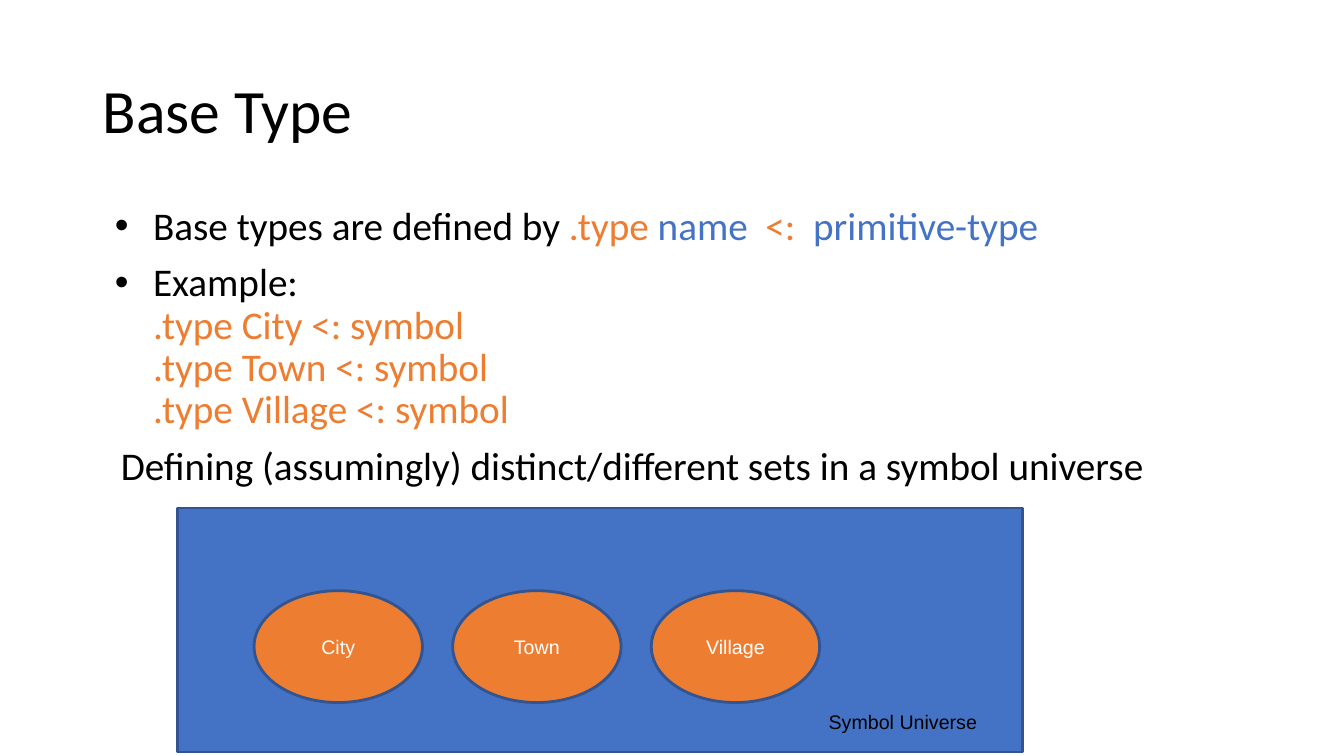
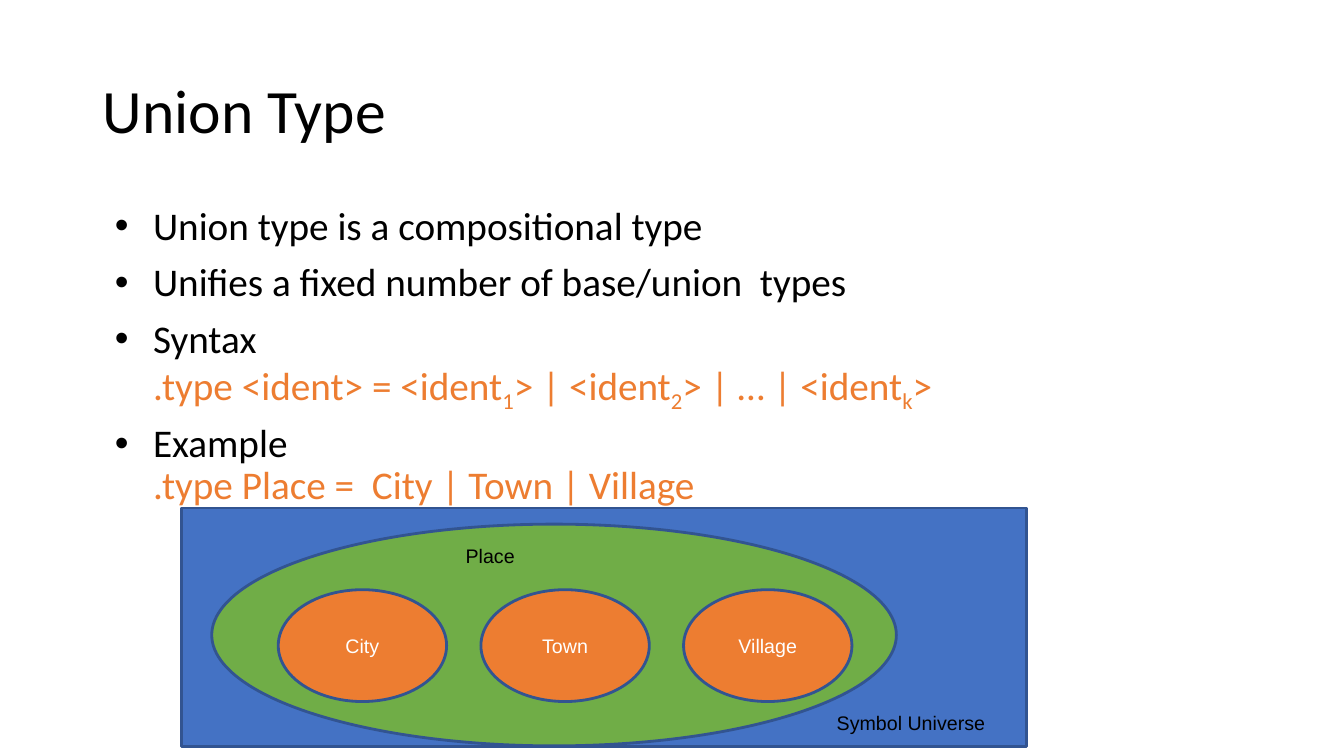
"""Build two slides on base types and union types."""
from lxml.etree import SubElement
from pptx import Presentation
from pptx.dml.color import RGBColor
from pptx.enum.shapes import MSO_SHAPE
from pptx.enum.text import MSO_ANCHOR, MSO_AUTO_SIZE, PP_ALIGN
from pptx.oxml.ns import qn
from pptx.util import Inches, Pt

BLACK, WHITE = "000000", "FFFFFF"
BLUE, ORANGE, GREEN, OUTLINE = "4472C4", "ED7D31", "70AD47", "325491"
HEADING_FONT, LABEL_FONT = "Calibri", "Arial"
TITLE_AREA = (0.92, 0.4, 11.5, 1.45)
OVAL_SIZE = (1.67, 1.11)
TYPE_NAMES = ["City", "Town", "Village"]
BREAK = ("\n", BLACK)

SLIDES = [
    {
        "title": "Base Type",
        "body_height": 4.92,
        "bullets": [
            [("Base types are defined by ", BLACK), (".type ", ORANGE), ("name", BLUE),
             ("  <:  ", ORANGE), ("primitive-type", BLUE)],
            [("Example:", BLACK), BREAK, (".type City <: symbol", ORANGE), BREAK,
             (".type Town <: symbol", ORANGE), BREAK, (".type Village <: symbol", ORANGE)],
        ],
        "closing": "Defining (assumingly) distinct/different sets in a symbol universe",
        "universe": (1.76, 5.04, 8.38, 2.42),
        "universe_label": (8.12, 6.99, 1.91, 0.4),
        "ovals": {"left": 2.52, "top": 5.86, "step": 1.97},
    },
    {
        "title": "Union Type",
        "body_height": 4.76,
        "bullets": [
            [("Union type is a compositional type", BLACK)],
            [("Unifies a fixed number of base/union  types", BLACK)],
            [("Syntax", BLACK), BREAK, (".type <ident> = <ident", ORANGE), ("1", ORANGE, True),
             ("> | <ident", ORANGE), ("2", ORANGE, True), ("> | … | <ident", ORANGE),
             ("k", ORANGE, True), (">", ORANGE)],
            [("Example", BLACK), BREAK, (".type Place =  City | Town | Village", ORANGE)],
        ],
        "universe": (1.8, 5.04, 8.38, 2.37),
        "universe_label": (8.2, 7, 1.91, 0.4),
        "union": (2.1, 5.2, 6.79, 2.2),
        "union_label": (4.52, 5.35, 0.74, 0.4),
        "ovals": {"left": 2.76, "top": 5.85, "step": 2.01},
    },
]


def color(value):
    """Turn a hex string into a colour."""
    return RGBColor.from_string(value)


def area(values):
    """Turn left, top, width and height into lengths."""
    return [Inches(value) for value in values]


def add_span(para, text, size, font, tint, subscript=False):
    """Add one formatted run."""
    span = para.add_run()
    span.text = text
    span.font.size = Pt(size)
    span.font.name = font
    span.font.color.rgb = color(tint)
    if subscript:
        span._r.get_or_add_rPr().set("baseline", "-25000")


def set_title(page, text):
    """Place and format the title."""
    title = page.shapes.title
    title.left, title.top, title.width, title.height = area(TITLE_AREA)
    frame = title.text_frame
    frame.auto_size = MSO_AUTO_SIZE.NONE
    frame.vertical_anchor = MSO_ANCHOR.MIDDLE
    para = frame.paragraphs[0]
    para.alignment = PP_ALIGN.LEFT
    para.line_spacing = 0.9
    add_span(para, text, 44, HEADING_FONT, BLACK)


def indent(para, margin, first_line=0.0):
    """Set the left margin and first-line indent, and return the properties."""
    properties = para._p.get_or_add_pPr()
    properties.set("marL", str(Inches(margin)))
    properties.set("indent", str(Inches(first_line)))
    return properties


def add_bullet(para):
    """Give a paragraph a round black bullet with a hanging indent."""
    properties = indent(para, 0.5, -0.38)
    tint = SubElement(properties, qn("a:buClr"))
    SubElement(tint, qn("a:srgbClr")).set("val", BLACK)
    SubElement(properties, qn("a:buFont")).set("typeface", "Arial")
    SubElement(properties, qn("a:buChar")).set("char", "•")


def add_body(page, content):
    """Add the bullets and the closing line."""
    box = page.shapes.add_textbox(*area((0.92, 2, 11.5, content["body_height"])))
    frame = box.text_frame
    frame.word_wrap = True
    rows = [(spans, True) for spans in content["bullets"]]
    if "closing" in content:
        rows.append(([(content["closing"], BLACK)], False))
    for number, (spans, bulleted) in enumerate(rows):
        para = frame.add_paragraph() if number else frame.paragraphs[0]
        para.line_spacing = 0.9
        para.space_before = Pt(10)
        if bulleted:
            add_bullet(para)
        else:
            indent(para, 0.18)
        for text, *style in spans:
            if text == "\n":
                para.add_line_break()
            else:
                add_span(para, text, 28, HEADING_FONT, *style)


def add_set(page, kind, place, fill, text=""):
    """Draw one set of the diagram, with its name if it has one."""
    shape = page.shapes.add_shape(kind, *area(place))
    shape.shadow.inherit = False
    shape.fill.solid()
    shape.fill.fore_color.rgb = color(fill)
    shape.line.color.rgb = color(OUTLINE)
    shape.line.width = Pt(2)
    if text:
        shape.text_frame.vertical_anchor = MSO_ANCHOR.MIDDLE
        para = shape.text_frame.paragraphs[0]
        para.alignment = PP_ALIGN.CENTER
        add_span(para, text, 14, LABEL_FONT, WHITE)


def add_label(page, place, text):
    """Add a black label."""
    box = page.shapes.add_textbox(*area(place))
    box.text_frame.word_wrap = True
    add_span(box.text_frame.paragraphs[0], text, 14, LABEL_FONT, BLACK)


def build_slide(deck, content):
    """Build one slide."""
    page = deck.slides.add_slide(deck.slide_layouts[5])
    add_set(page, MSO_SHAPE.RECTANGLE, content["universe"], BLUE)
    set_title(page, content["title"])
    add_body(page, content)
    if "union" in content:
        add_set(page, MSO_SHAPE.OVAL, content["union"], GREEN)
        add_label(page, content["union_label"], "Place")
    ovals = content["ovals"]
    for number, name in enumerate(TYPE_NAMES):
        left = ovals["left"] + number * ovals["step"]
        add_set(page, MSO_SHAPE.OVAL, (left, ovals["top"], *OVAL_SIZE), ORANGE, name)
    add_label(page, content["universe_label"], "Symbol Universe")


def main():
    """Build and save the deck."""
    deck = Presentation()
    deck.slide_width, deck.slide_height = Inches(13.33), Inches(7.5)
    for content in SLIDES:
        build_slide(deck, content)
    deck.save("out.pptx")


if __name__ == "__main__":
    main()
